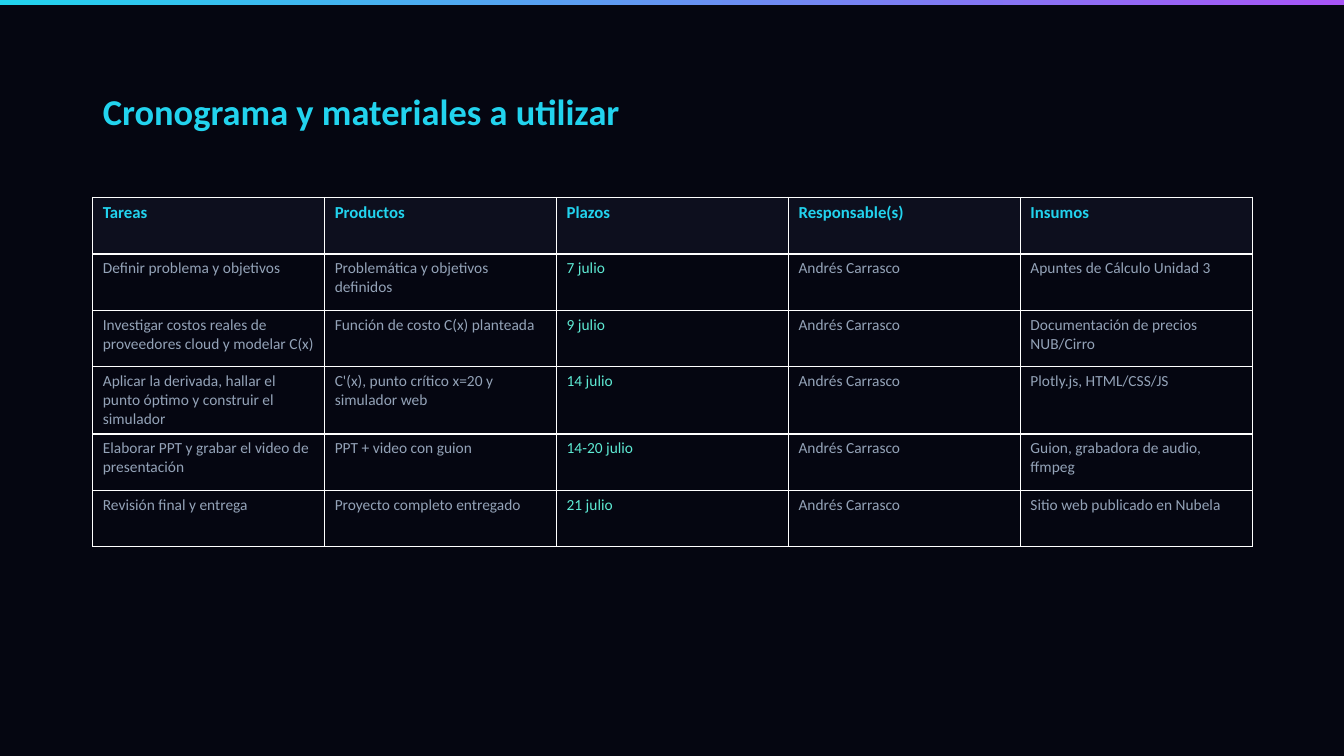
from dataclasses import dataclass

from pptx import Presentation
from pptx.dml.color import RGBColor
from pptx.enum import shapes, text
from pptx.util import Inches, Pt


@dataclass(frozen=True)
class Theme:
    font: str = "Calibri"
    background: str = "050611"
    header_fill: str = "0D0F1E"
    cyan: str = "22D3EE"
    purple: str = "A855F7"
    mint: str = "5EEAD4"
    slate: str = "94A3B8"
    title_size: int = 26
    header_size: int = 12
    body_size: int = 11


THEME = Theme()
SLIDE_WIDTH = 13.33
LEFT, WIDTH = 0.92, 11.5
ROW_HEIGHT = 0.56
DEADLINE_COLUMN = 2
OWNER = "Andrés Carrasco"

SCHEDULE = [
    ("Tareas", "Productos", "Plazos", "Responsable(s)", "Insumos"),
    ("Definir problema y objetivos", "Problemática y objetivos definidos",
     "7 julio", OWNER, "Apuntes de Cálculo Unidad 3"),
    ("Investigar costos reales de proveedores cloud y modelar C(x)",
     "Función de costo C(x) planteada",
     "9 julio", OWNER, "Documentación de precios NUB/Cirro"),
    ("Aplicar la derivada, hallar el punto óptimo y construir el simulador",
     "C'(x), punto crítico x=20 y simulador web",
     "14 julio", OWNER, "Plotly.js, HTML/CSS/JS"),
    ("Elaborar PPT y grabar el video de presentación", "PPT + video con guion",
     "14-20 julio", OWNER, "Guion, grabadora de audio, ffmpeg"),
    ("Revisión final y entrega", "Proyecto completo entregado",
     "21 julio", OWNER, "Sitio web publicado en Nubela"),
]


def color(value):
    return RGBColor.from_string(value)


def write(frame, words, *, size, ink, bold=False):
    para = frame.paragraphs[0]
    para.alignment = text.PP_ALIGN.LEFT
    span = para.add_run()
    span.text = words
    span.font.name = THEME.font
    span.font.size = Pt(size)
    span.font.bold = bold
    span.font.color.rgb = color(ink)
    return para


def add_title(page, words):
    title = page.shapes.title
    title.left, title.top = Inches(LEFT), Inches(0.4)
    title.width, title.height = Inches(WIDTH), Inches(1.45)
    frame = title.text_frame
    frame.word_wrap = True
    frame.vertical_anchor = text.MSO_ANCHOR.MIDDLE
    para = write(frame, words, size=THEME.title_size, ink=THEME.cyan, bold=True)
    para.line_spacing = 0.9
    para.space_after = Pt(14)


def add_schedule(page, rows):
    table = page.shapes.add_table(
        len(rows), len(rows[0]), Inches(LEFT), Inches(1.96),
        Inches(WIDTH), Inches(ROW_HEIGHT * len(rows))).table
    for row_index, row in enumerate(rows):
        header = row_index == 0
        for column_index, words in enumerate(row):
            cell = table.cell(row_index, column_index)
            cell.fill.solid()
            cell.fill.fore_color.rgb = color(
                THEME.header_fill if header else THEME.background)
            body_ink = THEME.mint if column_index == DEADLINE_COLUMN else THEME.slate
            write(cell.text_frame, words, bold=header,
                  size=THEME.header_size if header else THEME.body_size,
                  ink=THEME.cyan if header else body_ink)


def add_gradient_bar(page):
    bar = page.shapes.add_shape(
        shapes.MSO_SHAPE.RECTANGLE, 0, 0, Inches(SLIDE_WIDTH), Inches(0.05))
    bar.shadow.inherit = False
    bar.line.fill.background()
    bar.fill.gradient()
    bar.fill.gradient_angle = 0
    for stop, position, ink in zip(
            bar.fill.gradient_stops, (0, 1), (THEME.cyan, THEME.purple)):
        stop.position = position
        stop.color.rgb = color(ink)


def main():
    deck = Presentation()
    deck.slide_width, deck.slide_height = Inches(SLIDE_WIDTH), Inches(7.5)
    page = deck.slides.add_slide(deck.slide_layouts.get_by_name("Title Only"))
    page.background.fill.solid()
    page.background.fill.fore_color.rgb = color(THEME.background)
    add_title(page, "Cronograma y materiales a utilizar")
    add_schedule(page, SCHEDULE)
    add_gradient_bar(page)
    deck.save("out.pptx")


if __name__ == "__main__":
    main()
